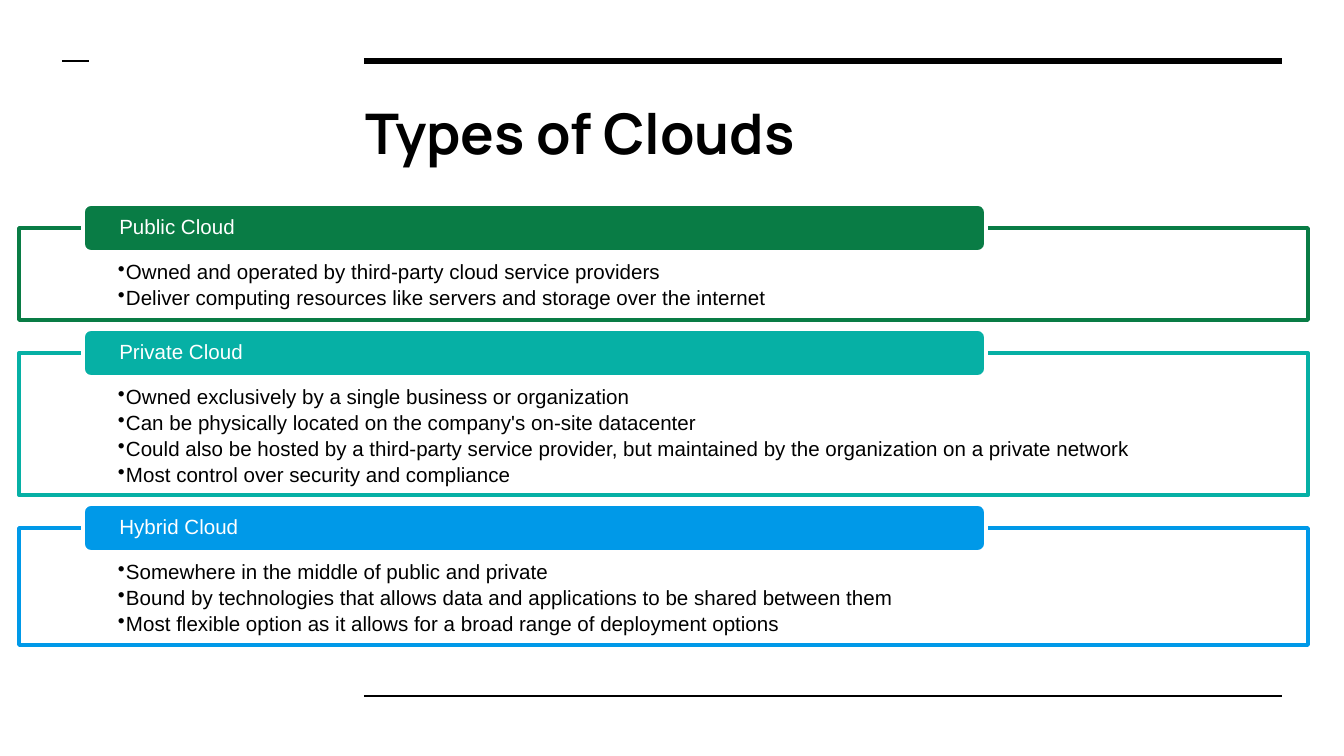
from lxml import etree
from pptx import Presentation, util as u
from pptx.dml.color import RGBColor
from pptx.enum import shapes, text
from pptx.oxml import ns

PX = 914400 / 134.4
COLORS = {"black": "000000", "white": "FFFFFF", "public": "097C45",
          "private": "06B0A5", "hybrid": "0099E8"}
CLOUDS = [
    ("Public Cloud", "public", [
        "Owned and operated by third-party cloud service providers",
        "Deliver computing resources like servers and storage over the internet"]),
    ("Private Cloud", "private", [
        "Owned exclusively by a single business or organization",
        "Can be physically located on the company's on-site datacenter",
        "Could also be hosted by a third-party service provider, "
        "but maintained by the organization on a private network",
        "Most control over security and compliance"]),
    ("Hybrid Cloud", "hybrid", [
        "Somewhere in the middle of public and private",
        "Bound by technologies that allows data and applications to be shared between them",
        "Most flexible option as it allows for a broad range of deployment options"]),
]


def add_box(kind, box, fill, line, insets, anchor):
    shape = slide.shapes.add_shape(kind, *[round(v * PX) for v in box])
    shape.shadow.inherit = False
    shape.fill.solid()
    shape.fill.fore_color.rgb = RGBColor.from_string(COLORS[fill])
    shape.line.color.rgb = RGBColor.from_string(COLORS[line])
    shape.line.width = u.Pt(2)
    frame = shape.text_frame
    frame.word_wrap = True
    frame.vertical_anchor = anchor
    frame.margin_left, frame.margin_top, frame.margin_right, frame.margin_bottom = [
        round(v * PX) for v in insets]
    return shape


def add_run(paragraph, words, size, font, color, bold=False):
    paragraph.alignment = text.PP_ALIGN.LEFT
    run = paragraph.add_run()
    run.text = words
    run.font.size = u.Pt(size)
    run.font.name = font
    run.font.bold = bold
    run.font.color.rgb = RGBColor.from_string(COLORS[color])


presentation = Presentation()
presentation.slide_width = round(1344 * PX)
presentation.slide_height = round(756 * PX)
slide = presentation.slides.add_slide(presentation.slide_layouts[6])

# Rules above and below the content
for left, right, y, width in [(364, 1282, 61, 3), (364, 1282, 696, 1.5), (62, 89, 61, 1.5)]:
    rule = slide.shapes.add_connector(
        shapes.MSO_CONNECTOR.STRAIGHT, *[round(v * PX) for v in (left, y, right, y)])
    rule.line.color.rgb = RGBColor.from_string(COLORS["black"])
    rule.line.width = u.Pt(width)
    etree.SubElement(rule._element.spPr, ns.qn("a:effectLst"))

# Title
title = slide.shapes.add_textbox(*[round(v * PX) for v in (352, 85, 929, 93)])
title.text_frame.word_wrap = True
title.text_frame.margin_left = title.text_frame.margin_top = u.Inches(0.1)
add_run(title.text_frame.paragraphs[0], "Types of Clouds", 30, "Manrope", "black", bold=True)

# Cloud types: each frame grows with its bullets, its header sits on the top edge
top = 228
for name, color, points in CLOUDS:
    height = 42 + 25 * len(points)
    frame = add_box(shapes.MSO_SHAPE.RECTANGLE, (19, top, 1289, height), "white", color,
                    (99, 34, 99, 12), text.MSO_ANCHOR.TOP)
    fill_color = frame._element.spPr.find(ns.qn("a:solidFill"))[0]
    etree.SubElement(fill_color, ns.qn("a:alpha"), val="90000")
    for index, point in enumerate(points):
        body = frame.text_frame
        paragraph = body.add_paragraph() if index else body.paragraphs[0]
        paragraph.level = 1
        paragraph.line_spacing = 0.9
        paragraph.space_after = u.Pt(2)
        add_run(paragraph, point, 11, "Arial", "black")
        properties = paragraph._p.get_or_add_pPr()
        properties.set("marL", str(round(8 * PX)))
        properties.set("indent", str(round(-8 * PX)))
        etree.SubElement(properties, ns.qn("a:buChar"), char="•")

    header = add_box(shapes.MSO_SHAPE.ROUNDED_RECTANGLE, (83, top - 24, 903, 48), color, "white",
                     (34, 0, 34, 0), text.MSO_ANCHOR.MIDDLE)
    paragraph = header.text_frame.paragraphs[0]
    paragraph.line_spacing = 0.9
    add_run(paragraph, name, 11, "Arial", "white")
    top += height + 33

presentation.save("out.pptx")
